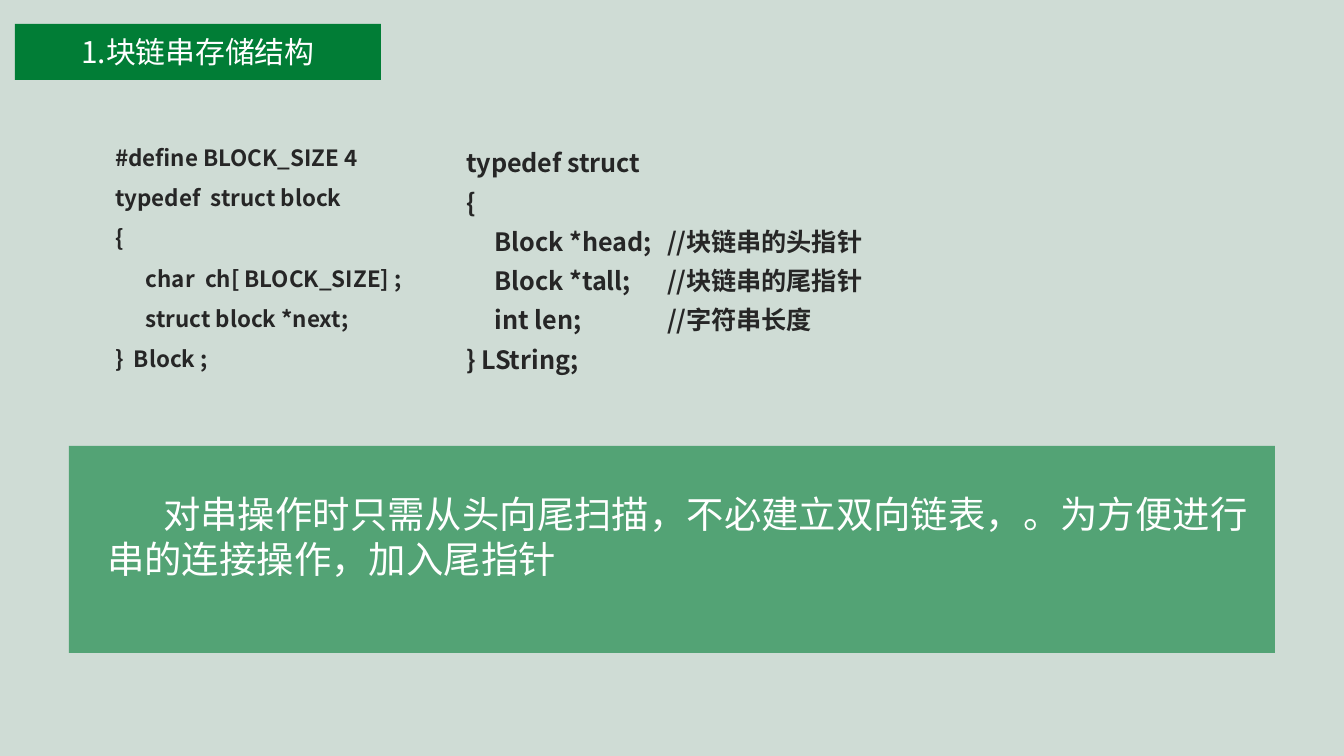
from lxml.etree import SubElement
from pptx import Presentation
from pptx.dml.color import RGBColor
from pptx.enum.shapes import MSO_SHAPE
from pptx.enum.text import MSO_ANCHOR, PP_ALIGN
from pptx.oxml.ns import qn
from pptx.util import Emu, Pt

FONT = "Noto Sans CJK SC"
GREEN, WHITE, DARK, PALE = "017D36", "FFFFFF", "262626", "CFDCD5"

TITLE = "1.块链串存储结构"
NOTE = "对串操作时只需从头向尾扫描，不必建立双向链表，。为方便进行串的连接操作，加入尾指针"
BLOCK = [
    "#define BLOCK_SIZE 4",
    "typedef  struct block",
    "{",
    "      char  ch[ BLOCK_SIZE] ;",
    "      struct block *next;",
    "}  Block ;",
]
STRING = [
    "typedef struct",
    "{",
    "     Block *head;\t//块链串的头指针",
    "     Block *tall;\t//块链串的尾指针",
    "     int len;\t//字符串长度",
    "} LString;",
]
CODES = [
    (BLOCK, (102, 124, 442, 298), 12, 1.5),
    (STRING, (453, 132, 499, 282), 13.5, 1.3),
]
TAB = 201


def px(n):
    return Emu(round(n * 914400 / 134.4))


def paint(fill, color):
    fill.solid()
    fill.fore_color.rgb = RGBColor.from_string(color)


def bar(slide, box, color):
    shape = slide.shapes.add_shape(MSO_SHAPE.RECTANGLE, *map(px, box))
    shape.shadow.inherit = False
    shape.line.fill.background()
    paint(shape.fill, color)
    return shape


def write(shape, lines, size, color, align, space=1.0, bold=False, indent=0, tab=0):
    frame = shape.text_frame
    frame.word_wrap = True
    frame.text = "\n".join(lines)
    for para in frame.paragraphs:
        para.alignment = align
        para.line_spacing = space
        props = para._p.get_or_add_pPr()
        if indent:
            props.set("marL", "0")
            props.set("indent", str(px(indent)))
        if tab:
            stops = SubElement(props, qn("a:tabLst"))
            SubElement(stops, qn("a:tab"), pos=str(px(tab)), algn="l")
        for run in para.runs:
            run.font.size = Pt(size)
            run.font.bold = bold
            run.font.name = FONT
            run.font.color.rgb = RGBColor.from_string(color)
            SubElement(run._r.get_or_add_rPr(), qn("a:ea"), typeface=FONT)


def main():
    deck = Presentation()
    deck.slide_width, deck.slide_height = px(1344), px(756)
    slide = deck.slides.add_slide(deck.slide_layouts[6])
    paint(slide.background.fill, PALE)

    panel = bar(slide, (69, 446, 1206, 207), GREEN)
    tint = panel.fill._xPr.find(qn("a:solidFill"))[0]
    SubElement(tint, qn("a:alpha"), val="60000")
    note = slide.shapes.add_textbox(*map(px, (94, 485, 1173, 104)))
    write(note, [NOTE], 20, WHITE, PP_ALIGN.LEFT, indent=56)

    for lines, box, size, space in CODES:
        code = slide.shapes.add_textbox(*map(px, box))
        write(code, lines, size, DARK, PP_ALIGN.JUSTIFY, space, True, tab=TAB)

    head = bar(slide, (15, 24, 366, 56), GREEN)
    head.text_frame.vertical_anchor = MSO_ANCHOR.MIDDLE
    write(head, [TITLE], 16, WHITE, PP_ALIGN.CENTER)

    deck.save("out.pptx")


if __name__ == "__main__":
    main()
